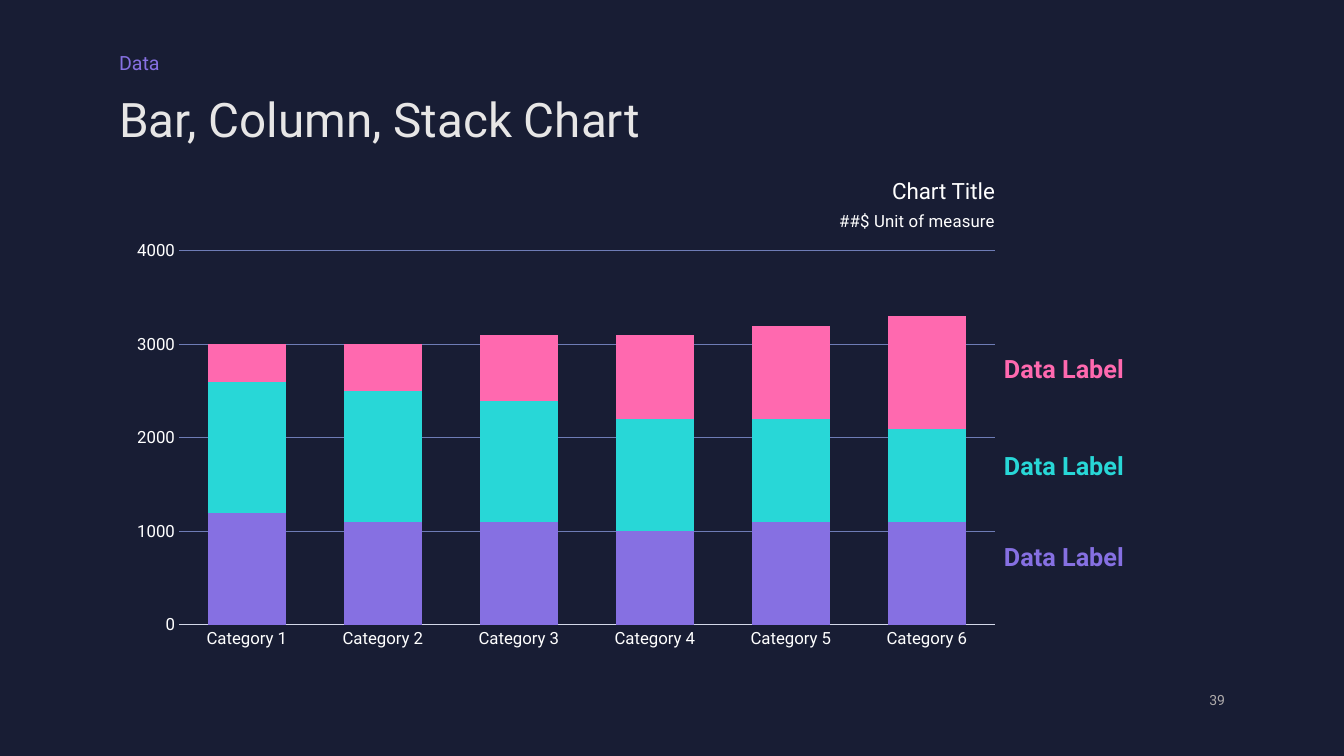
"""Build a dark slide with a stacked column chart and coloured series labels."""
from dataclasses import dataclass

from lxml.etree import SubElement
from pptx import Presentation
from pptx.chart.data import CategoryChartData
from pptx.dml.color import RGBColor
from pptx.enum.chart import XL_CHART_TYPE as ChartType, XL_TICK_MARK as TickMark
from pptx.enum.text import MSO_ANCHOR as Anchor, PP_ALIGN as Align
from pptx.oxml.ns import qn
from pptx.util import Pt

EYEBROW = "Data"
TITLE = "Bar, Column, Stack Chart"
CHART_TITLE = "Chart Title"
CHART_UNIT = "##$ Unit of measure"
PAGE_NUMBER = "39"
CATEGORIES = [f"Category {number}" for number in range(1, 7)]
SERIES = [
    ("Series 1", (1200, 1100, 1100, 1000, 1100, 1100), "8670E2"),
    ("Series 2", (1400, 1400, 1300, 1200, 1100, 1000), "28D7D7"),
    ("Series 3", (400, 500, 700, 900, 1000, 1200), "FF69AF"),
]
SERIES_LABELS = [("Data Label", 541), ("Data Label", 450), ("Data Label", 353)]
AXIS_MAX, AXIS_STEP = 4000, 1000

SLIDE_SIZE = (1344, 756)
CHART_BOX = (119, 232, 894, 425)
PLOT_BOX = (179, 251, 816, 374)
EMU_PER_PX = 914400 / 100.8


@dataclass(frozen=True)
class Theme:
    """Colours and type sizes of the slide."""
    font: str = "Roboto"
    background: str = "181D34"
    accent: str = "8670E2"
    title: str = "E7E6E6"
    text: str = "FFFFFF"
    muted: str = "AFABAB"
    axis: str = "D3D8E9"
    grid: str = "6E7CB6"
    title_size: int = 34
    label_size: int = 18
    chart_title_size: int = 16
    eyebrow_size: int = 14
    axis_size: int = 12
    page_size: int = 10
    line_width: float = 0.75


THEME = Theme()


def px(length):
    """Turn px into EMU."""
    return round(length * EMU_PER_PX)


def style_font(font, size, color, bold=False):
    """Set the typeface, size, colour and weight."""
    font.name, font.size, font.bold = THEME.font, Pt(size), bold
    font.color.rgb = RGBColor.from_string(color)


def style_line(line, color):
    """Set the colour and width of a chart line."""
    line.color.rgb = RGBColor.from_string(color)
    line.width = Pt(THEME.line_width)


def add_text(slide, box, lines, align=Align.LEFT, anchor=Anchor.TOP,
             spacing=1.0, after=0, wrap=True):
    """Add a text box with one paragraph per (text, size, color, bold) line."""
    frame = slide.shapes.add_textbox(*map(px, box)).text_frame
    frame.word_wrap, frame.vertical_anchor = wrap, anchor
    frame.margin_left = frame.margin_right = frame.margin_top = frame.margin_bottom = 0
    for index, (text, size, color, bold) in enumerate(lines):
        paragraph = frame.add_paragraph() if index else frame.paragraphs[0]
        paragraph.alignment, paragraph.line_spacing = align, spacing
        paragraph.space_after = Pt(after)
        run = paragraph.add_run()
        run.text = text
        style_font(run.font, size, color, bold)
    return frame


def set_plot_area(chart):
    """Fix the inner plot area as fractions of the chart box."""
    left, top, width, height = CHART_BOX
    plot_left, plot_top, plot_width, plot_height = PLOT_BOX
    fractions = {"x": (plot_left - left) / width, "y": (plot_top - top) / height,
                 "w": plot_width / width, "h": plot_height / height}
    plot_area = chart.plots[0]._element.getparent()
    layout = plot_area.find(qn("c:layout"))
    if layout is None:
        layout = SubElement(plot_area, qn("c:layout"))
        plot_area.insert(0, layout)
    manual = SubElement(layout, qn("c:manualLayout"))
    settings = [("layoutTarget", "inner"), ("xMode", "edge"), ("yMode", "edge")]
    settings += [(name, f"{value:.4f}") for name, value in fractions.items()]
    for name, value in settings:
        SubElement(manual, qn(f"c:{name}")).set("val", value)


def add_stacked_chart(slide):
    """Add the stacked columns and style their axes."""
    data = CategoryChartData()
    data.categories = CATEGORIES
    for name, values, _ in SERIES:
        data.add_series(name, values)
    chart = slide.shapes.add_chart(
        ChartType.COLUMN_STACKED, *map(px, CHART_BOX), data).chart
    chart.has_legend = chart.has_title = False
    style_font(chart.font, THEME.axis_size, THEME.text)
    plot = chart.plots[0]
    plot.gap_width, plot.overlap, plot.vary_by_categories = 76, 100, False
    for series, (_, _, color) in zip(plot.series, SERIES):
        series.format.fill.solid()
        series.format.fill.fore_color.rgb = RGBColor.from_string(color)
    for axis in (chart.category_axis, chart.value_axis):
        axis.major_tick_mark = axis.minor_tick_mark = TickMark.NONE
        style_font(axis.tick_labels.font, THEME.axis_size, THEME.text)
    style_line(chart.category_axis.format.line, THEME.axis)
    values = chart.value_axis
    values.minimum_scale, values.maximum_scale = 0, AXIS_MAX
    values.major_unit = AXIS_STEP
    values.format.line.fill.background()
    values.has_major_gridlines = True
    style_line(values.major_gridlines.format.line, THEME.grid)
    set_plot_area(chart)


def main():
    """Compose and save the slide."""
    presentation = Presentation()
    presentation.slide_width, presentation.slide_height = map(px, SLIDE_SIZE)
    slide = presentation.slides.add_slide(presentation.slide_layouts[6])
    slide.background.fill.solid()
    slide.background.fill.fore_color.rgb = RGBColor.from_string(THEME.background)

    add_text(slide, (1166, 681, 59, 27),
             [(PAGE_NUMBER, THEME.page_size, THEME.muted, False)],
             Align.RIGHT, Anchor.BOTTOM, after=4)
    add_text(slide, (119, 49, 530, 25),
             [(EYEBROW, THEME.eyebrow_size, THEME.accent, False)],
             spacing=1.1, after=9, wrap=False)
    add_text(slide, (119, 96, 984, 76),
             [(TITLE, THEME.title_size, THEME.title, False)], spacing=0.9)
    add_stacked_chart(slide)
    heading = add_text(slide, (611, 174, 384, 58),
                       [(CHART_TITLE, THEME.chart_title_size, THEME.text, False),
                        (CHART_UNIT, THEME.axis_size, THEME.text, False)],
                       Align.RIGHT, spacing=1.1, after=4)
    heading.paragraphs[1].runs[0].font._element.set("spc", "10")
    for (label, top), (_, _, color) in zip(SERIES_LABELS, SERIES):
        add_text(slide, (1004, top, 221, 30),
                 [(label, THEME.label_size, color, True)], anchor=Anchor.MIDDLE)
    presentation.save("out.pptx")


if __name__ == "__main__":
    main()
